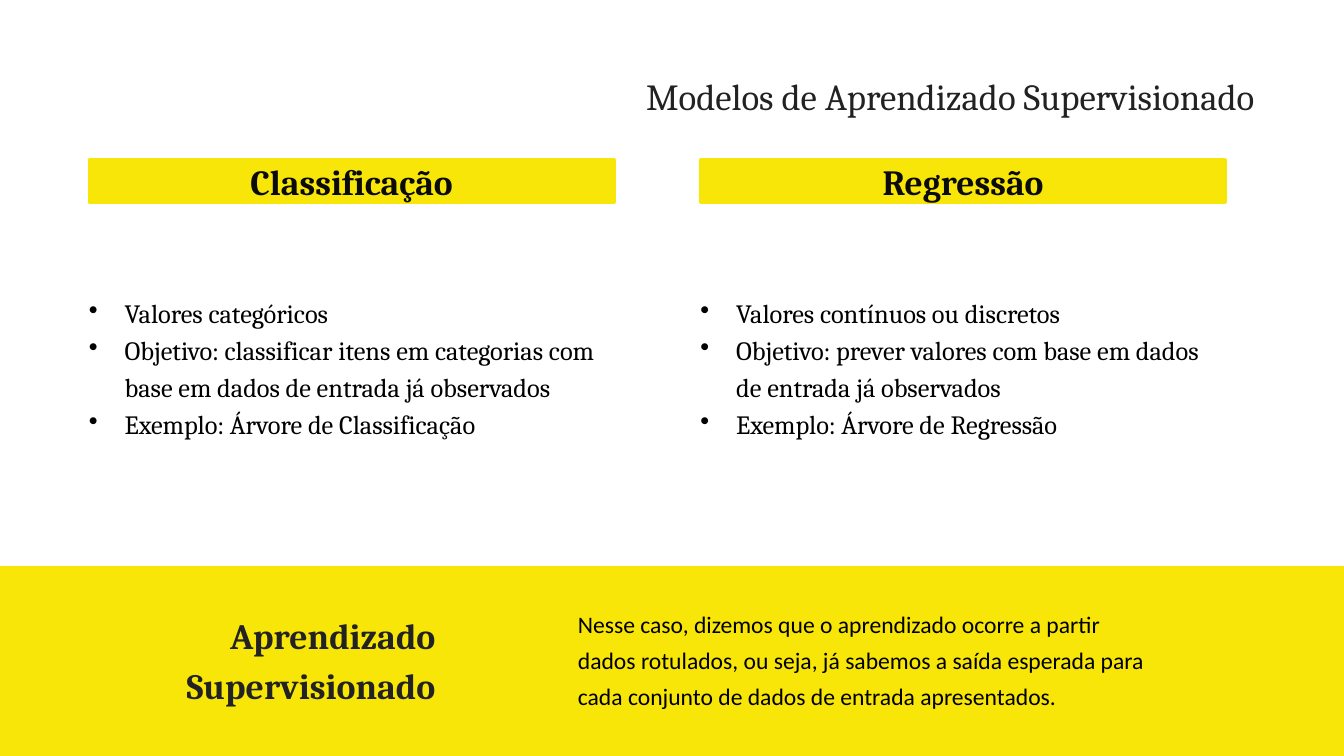
from dataclasses import dataclass

from lxml import etree
from pptx import Presentation
from pptx.dml.color import RGBColor
from pptx.enum.shapes import MSO_SHAPE
from pptx.enum.text import MSO_ANCHOR, PP_ALIGN
from pptx.oxml.ns import qn
from pptx.util import Inches, Pt

RECT = MSO_SHAPE.RECTANGLE
TOP, MIDDLE = MSO_ANCHOR.TOP, MSO_ANCHOR.MIDDLE
LEFT, CENTER, RIGHT = PP_ALIGN.LEFT, PP_ALIGN.CENTER, PP_ALIGN.RIGHT

WIDTH, HEIGHT = 14.22, 8
BAND_TOP = 0.75 * HEIGHT
COLUMN_LEFT, COLUMN_STEP, COLUMN_WIDTH = 0.94, 6.47, 5.56
COLUMN_TOP, HEADER_HEIGHT, LIST_OFFSET = 1.69, 0.45, 1.4
INDENT = 0.38

TITLE = "Modelos de Aprendizado Supervisionado"
COLUMNS = [
    ("Classificação", [
        "Valores categóricos",
        "Objetivo: classificar itens em categorias com base em dados de entrada já observados",
        "Exemplo: Árvore de Classificação",
    ]),
    ("Regressão", [
        "Valores contínuos ou discretos",
        "Objetivo: prever valores com base em dados de entrada já observados",
        "Exemplo: Árvore de Regressão",
    ]),
]
BAND_HEADING = "Aprendizado Supervisionado"
BAND_TEXT = (
    "Nesse caso, dizemos que o aprendizado ocorre a partir dados rotulados, "
    "ou seja, já sabemos a saída esperada para cada conjunto de dados de "
    "entrada apresentados."
)


@dataclass(frozen=True)
class Style:
    """Font, size, colour and line spacing of one kind of text."""
    font: str
    size: float
    color: str
    bold: bool = False
    spacing: float | None = None


@dataclass(frozen=True)
class Theme:
    """Colours and text styles of the slide."""
    accent: str = "F7E607"
    title: Style = Style("Cambria", 28, "222222")
    header: Style = Style("Cambria", 27, "0B0B0B", True)
    bullet: Style = Style("Cambria", 20.1, "000000", spacing=28.2)
    heading: Style = Style("Cambria", 27.2, "222222", True, 38)
    body: Style = Style("Calibri", 18, "000000", spacing=27.2)


THEME = Theme()


def write(shape, lines, style, align=LEFT, anchor=TOP):
    """Fill a shape with styled paragraphs and return them."""
    tf = shape.text_frame
    tf.word_wrap = True
    tf.vertical_anchor = anchor
    tf.margin_left = tf.margin_right = tf.margin_top = tf.margin_bottom = 0
    tf.text = "\n".join(lines)
    for p in tf.paragraphs:
        p.alignment = align
        p.space_before = p.space_after = Pt(0)
        p.line_spacing = Pt(style.spacing) if style.spacing else 1.0
        p.font.name = style.font
        p.font.size = Pt(style.size)
        p.font.bold = style.bold
        p.font.color.rgb = RGBColor.from_string(style.color)
    return tf.paragraphs


def add_text(s, box, lines, style, align=LEFT):
    """Add a wrapped text box and return its paragraphs."""
    return write(s.shapes.add_textbox(*map(Inches, box)), lines, style, align)


def add_bar(s, box):
    """Add a rectangle in the accent colour."""
    bar = s.shapes.add_shape(RECT, *map(Inches, box))
    bar.shadow.inherit = False
    bar.fill.solid()
    bar.fill.fore_color.rgb = bar.line.color.rgb = RGBColor.from_string(THEME.accent)
    bar.line.width = Pt(2)
    return bar


def add_bullet(p):
    """Give a paragraph a round bullet with a hanging indent."""
    pPr = p._p.get_or_add_pPr()
    pPr.set("marL", str(Inches(INDENT)))
    pPr.set("indent", str(Inches(-INDENT)))
    bullet = etree.Element(qn("a:buChar"), char="•")
    pPr.find(qn("a:defRPr")).addprevious(bullet)


def add_title(s, box):
    """Place the slide title in its placeholder."""
    title = s.shapes.title
    title.left, title.top, title.width, title.height = map(Inches, box)
    write(title, [TITLE], THEME.title, RIGHT, MIDDLE)


def add_column(s, box, header, items):
    """Place a header bar and the bulleted list below it."""
    x, y, w, h = box
    bar = add_bar(s, (x, y, w, HEADER_HEIGHT))
    write(bar, [header], THEME.header, CENTER, MIDDLE)
    list_box = (x, y + LIST_OFFSET, w, h - LIST_OFFSET)
    for p in add_text(s, list_box, items, THEME.bullet):
        add_bullet(p)


def add_band(s, box):
    """Place the summary band with its heading and explanation."""
    x, y, w, h = box
    add_bar(s, box)
    heading_box = (x + 0.136 * w, y + 0.21 * h, 0.188 * w, 0.535 * h)
    add_text(s, heading_box, [BAND_HEADING], THEME.heading, RIGHT)
    body_box = (x + 0.43 * w, y + 0.19 * h, 0.434 * w, 0.57 * h)
    add_text(s, body_box, [BAND_TEXT], THEME.body)


def main():
    """Build the slide and save it."""
    prs = Presentation()
    prs.slide_width, prs.slide_height = Inches(WIDTH), Inches(HEIGHT)
    s = prs.slides.add_slide(prs.slide_layouts[5])
    add_band(s, (0, BAND_TOP, WIDTH, HEIGHT - BAND_TOP))
    add_title(s, (3.94, 0.78, 9.33, 0.47))
    for i, (header, items) in enumerate(COLUMNS):
        box = (COLUMN_LEFT + i * COLUMN_STEP, COLUMN_TOP, COLUMN_WIDTH, 3.36)
        add_column(s, box, header, items)
    prs.save("out.pptx")


if __name__ == "__main__":
    main()
